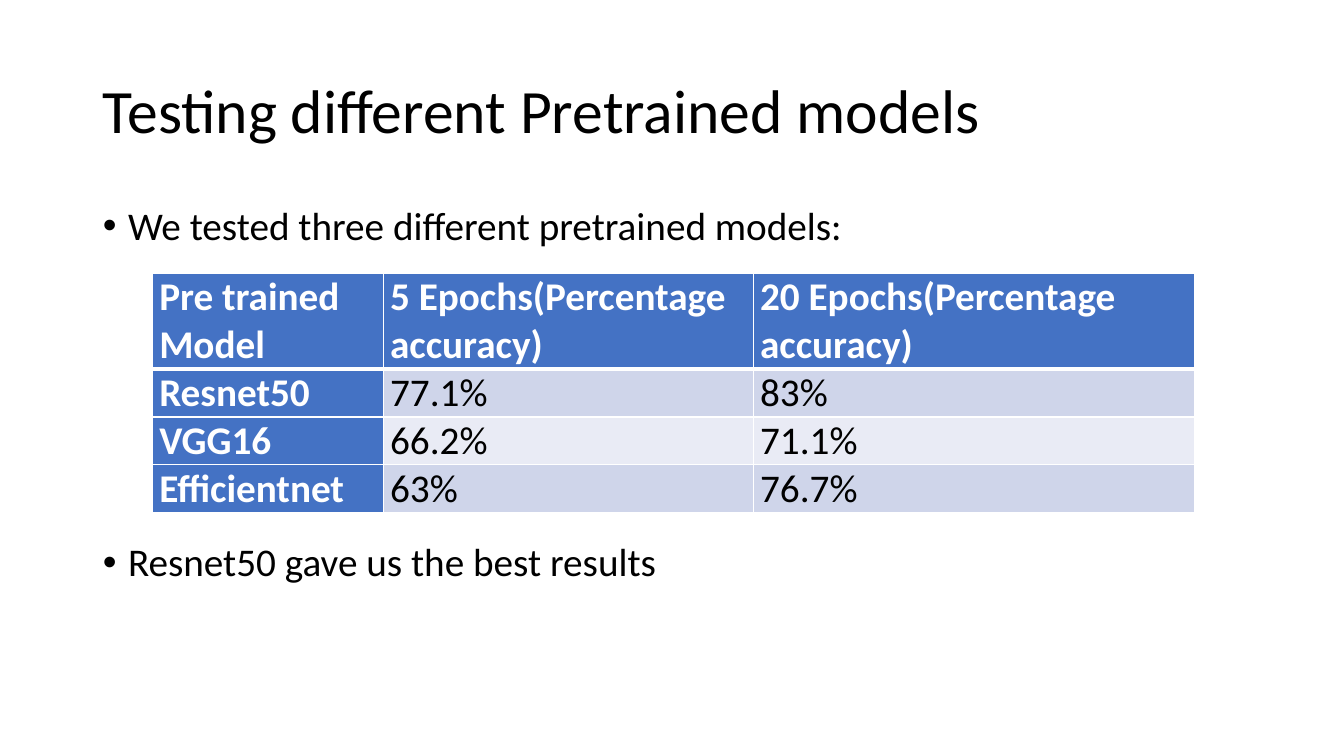
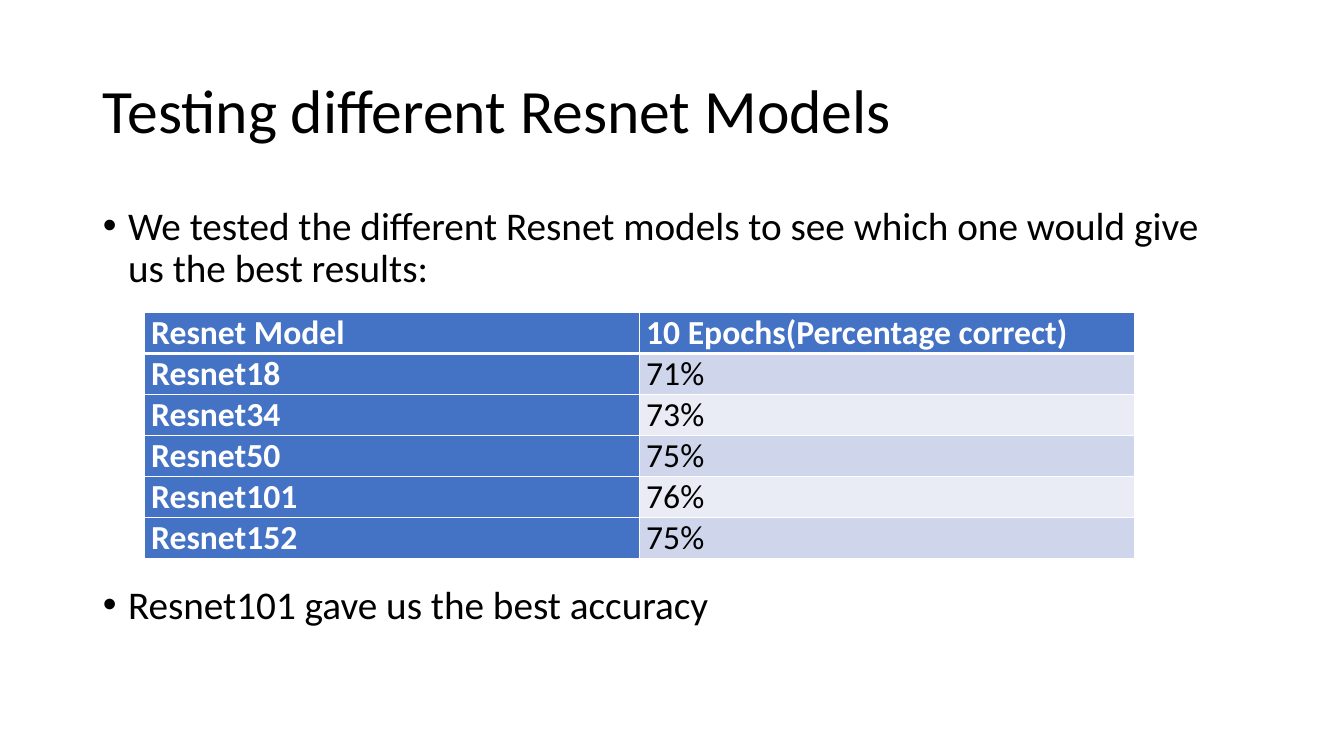
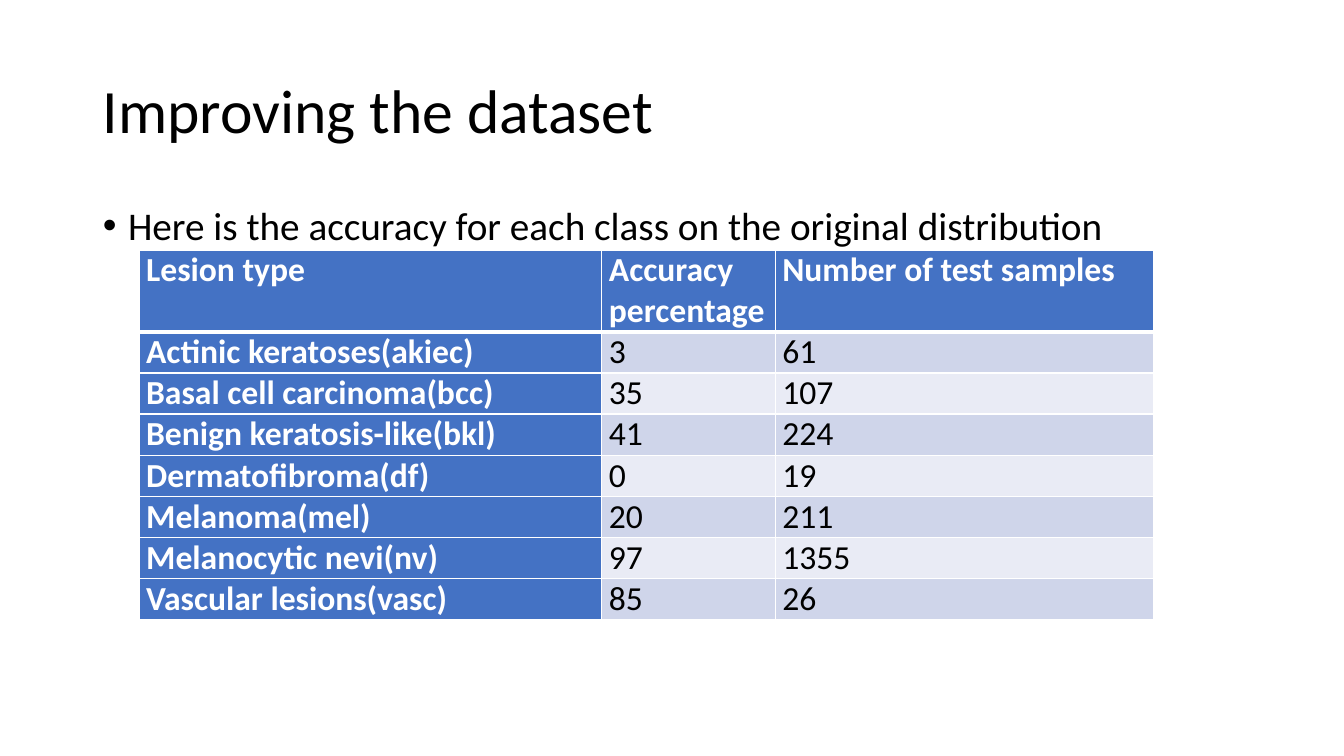
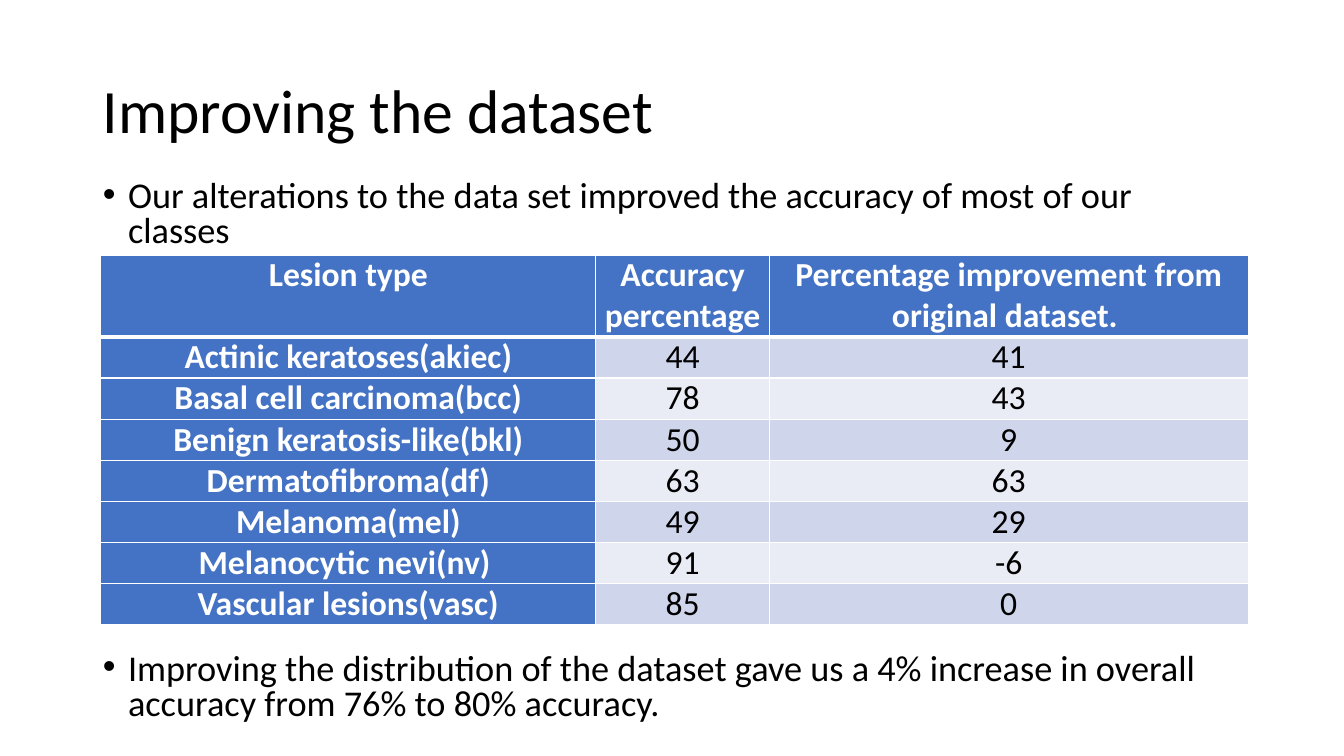
from lxml import etree
from pptx import Presentation
from pptx.dml.color import RGBColor
from pptx.enum.text import MSO_ANCHOR, MSO_AUTO_SIZE, PP_ALIGN
from pptx.oxml.ns import qn
from pptx.util import Inches, Pt

FONT = "Calibri"
BLACK = RGBColor(0x00, 0x00, 0x00)
WHITE = RGBColor(0xFF, 0xFF, 0xFF)
BLUE = RGBColor(0x44, 0x72, 0xC4)
BANDS = [RGBColor(0xE9, 0xEB, 0xF5), RGBColor(0xCF, 0xD5, 0xEA)]

LEFT, WIDTH = 0.92, 11.5
LINE_HEIGHT = 1.2 / 72  # inches per point of text size


def add_text(paragraph, text, size, color=BLACK, bold=False):
    run = paragraph.add_run()
    run.text = text
    run.font.name = FONT
    run.font.size = Pt(size)
    run.font.bold = bold
    run.font.color.rgb = color


def set_borders(cell, widths):
    """Draw white cell borders; widths are points for left, right, top, bottom."""
    properties = cell._tc.get_or_add_tcPr()
    for index, (side, width) in enumerate(zip("LRTB", widths)):
        line = etree.Element(qn(f"a:ln{side}"), w=str(Pt(width)))
        fill = etree.SubElement(line, qn("a:solidFill"))
        etree.SubElement(fill, qn("a:srgbClr"), val=str(WHITE))
        properties.insert(index, line)


# Content
LESIONS = [
    "Actinic keratoses(akiec)",
    "Basal cell carcinoma(bcc)",
    "Benign keratosis-like(bkl)",
    "Dermatofibroma(df)",
    "Melanoma(mel)",
    "Melanocytic nevi(nv) ",
    "Vascular lesions(vasc)",
]
ORIGINAL_ACCURACY = [3, 35, 41, 0, 20, 97, 85]
TEST_SAMPLES = [61, 107, 224, 19, 211, 1355, 26]
IMPROVED_ACCURACY = [44, 78, 50, 63, 49, 91, 85]
IMPROVEMENT = [41, 43, 9, 63, 29, -6, 0]

# The gap before the second bullet leaves room for the table
REGULAR_BODY = {"top": 2, "height": 4.76, "size": 28, "spacing": 0.9, "gap": 210}
DENSE_BODY = {"top": 1.74, "height": 5.5, "size": 25.9, "spacing": 0.8, "gap": 288}

SLIDES = [
    {
        "title": "Testing different Pretrained models",
        "bullets": ["We tested three different pretrained models: ",
                    "Resnet50 gave us the best results"],
        "body": REGULAR_BODY,
        "table_at": (1.51, 2.71),
        "columns": [2.29, 3.67, 4.38],
        "table_size": 28,
        "header_lines": 2,
        "align": PP_ALIGN.LEFT,
        "rows": [
            ("Pre trained Model", "5 Epochs(Percentage accuracy)",
             "20 Epochs(Percentage accuracy)"),
            ("Resnet50", "77.1%", "83%"),
            ("VGG16", "66.2%", "71.1%"),
            ("Efficientnet", "63%", "76.7%"),
        ],
    },
    {
        "title": "Testing different Resnet Models ",
        "bullets": ["We tested the different Resnet models to see which one "
                    "would give us the best results:",
                    "Resnet101 gave us the best accuracy"],
        "body": REGULAR_BODY,
        "table_at": (1.43, 3.1),
        "columns": [4.91, 4.91],
        "table_size": 24,
        "header_lines": 1,
        "align": PP_ALIGN.LEFT,
        "rows": [
            ("Resnet Model", "10 Epochs(Percentage correct)"),
            ("Resnet18", "71%"),
            ("Resnet34", "73%"),
            ("Resnet50", "75%"),
            ("Resnet101", "76%"),
            ("Resnet152", "75%"),
        ],
    },
    {
        "title": "Improving the dataset ",
        "bullets": ["Here is the accuracy for each class on the original distribution"],
        "body": REGULAR_BODY,
        "table_at": (1.38, 2.48),
        "columns": [4.59, 1.72, 3.75],
        "table_size": 24,
        "header_lines": 2,
        "align": PP_ALIGN.LEFT,
        "rows": [("Lesion type", "Accuracy percentage", "Number of test samples"),
                 *zip(LESIONS, ORIGINAL_ACCURACY, TEST_SAMPLES)],
    },
    {
        "title": "Improving the dataset",
        "bullets": ["Our alterations to the data set improved the accuracy of most "
                    "of our classes ",
                    "Improving the distribution of the dataset gave us a 4% increase "
                    "in overall accuracy from 76% to 80% accuracy. "],
        "body": DENSE_BODY,
        "table_at": (1, 2.53),
        "columns": [4.91, 1.72, 4.75],
        "table_size": 24,
        "header_lines": 2,
        "align": PP_ALIGN.CENTER,
        "rows": [("Lesion type", "Accuracy percentage",
                  "Percentage improvement from original dataset. "),
                 *zip(LESIONS, IMPROVED_ACCURACY, IMPROVEMENT)],
    },
]

prs = Presentation()
prs.slide_width = Inches(13.33)
prs.slide_height = Inches(7.5)

for content in SLIDES:
    slide = prs.slides.add_slide(prs.slide_layouts[1])

    # Title
    title = slide.shapes.title
    title.left, title.top = Inches(LEFT), Inches(0.4)
    title.width, title.height = Inches(WIDTH), Inches(1.45)
    title.text_frame.auto_size = MSO_AUTO_SIZE.NONE
    title.text_frame.vertical_anchor = MSO_ANCHOR.MIDDLE
    heading = title.text_frame.paragraphs[0]
    heading.alignment = PP_ALIGN.LEFT
    heading.line_spacing = 0.9
    add_text(heading, content["title"], 44)

    # Bullets above and below the table
    style = content["body"]
    body = slide.placeholders[1]
    body.left, body.top = Inches(LEFT), Inches(style["top"])
    body.width, body.height = Inches(WIDTH), Inches(style["height"])
    body.text_frame.auto_size = MSO_AUTO_SIZE.NONE
    for number, text in enumerate(content["bullets"]):
        if number == 0:
            bullet = body.text_frame.paragraphs[0]
        else:
            bullet = body.text_frame.add_paragraph()
        bullet.line_spacing = style["spacing"]
        bullet.space_before = Pt(style["gap"] if number else 10)
        indent = bullet._p.get_or_add_pPr()
        indent.set("marL", str(Inches(0.25)))
        indent.set("indent", str(Inches(-0.25)))
        add_text(bullet, text, style["size"])

    # Table
    rows, columns = content["rows"], content["columns"]
    size = content["table_size"]
    row_height = size * LINE_HEIGHT
    left, top = content["table_at"]
    results = slide.shapes.add_table(
        len(rows), len(columns), Inches(left), Inches(top), Inches(sum(columns)),
        Inches(row_height * (len(rows) - 1 + content["header_lines"]))).table
    results.first_col = True
    for column, width in zip(results.columns, columns):
        column.width = Inches(width)
    for r, row in enumerate(rows):
        lines = content["header_lines"] if r == 0 else 1
        results.rows[r].height = Inches(row_height * lines)
        for c, value in enumerate(row):
            cell = results.cell(r, c)
            is_heading = r == 0 or c == 0
            cell.margin_left = cell.margin_right = Inches(0.07)
            cell.margin_top = cell.margin_bottom = 0
            cell.fill.solid()
            cell.fill.fore_color.rgb = BLUE if is_heading else BANDS[r % 2]
            set_borders(cell, (1, 1, 3 if r == 1 else 1, 3 if r == 0 else 1))
            entry = cell.text_frame.paragraphs[0]
            entry.alignment = content["align"]
            add_text(entry, str(value), size, WHITE if is_heading else BLACK, is_heading)

prs.save("out.pptx")
